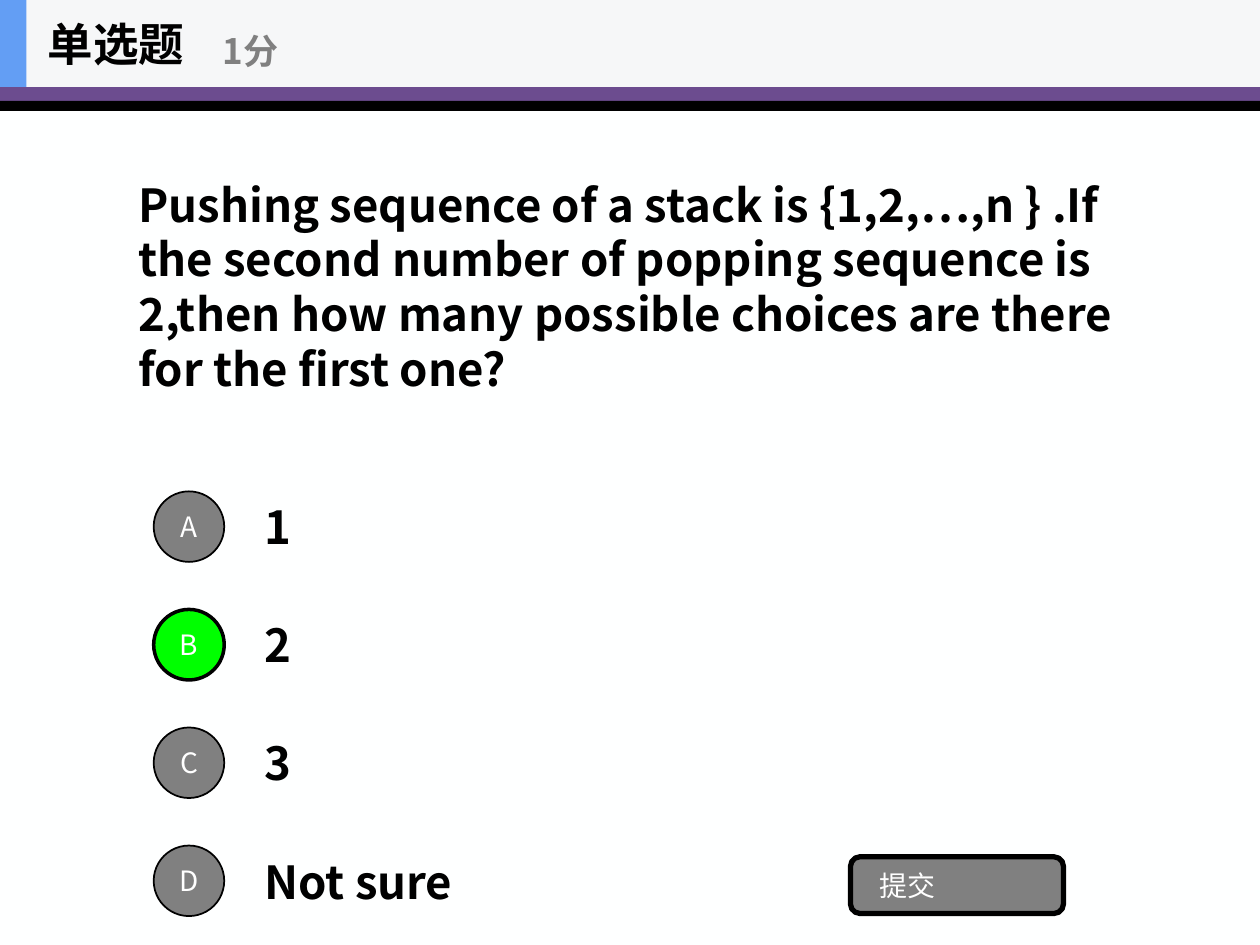
from dataclasses import dataclass

from lxml import etree
from pptx import Presentation
from pptx.dml.color import RGBColor
from pptx.enum.shapes import MSO_SHAPE
from pptx.enum.text import MSO_ANCHOR, PP_ALIGN
from pptx.oxml.ns import qn
from pptx.util import Inches, Pt

RECTANGLE = MSO_SHAPE.RECTANGLE
ROUNDED = MSO_SHAPE.ROUNDED_RECTANGLE
OVAL = MSO_SHAPE.OVAL
MIDDLE = MSO_ANCHOR.MIDDLE
LEFT = PP_ALIGN.LEFT
CENTER = PP_ALIGN.CENTER

FONT = "Noto Sans CJK SC"
COLORS = {
    "page": "FEFFFF",
    "purple": "6C4C8F",
    "black": "000000",
    "white": "FFFFFF",
    "gray": "808080",
    "green": "00FF00",
    "header": "F6F7F8",
    "blue": "639EF4",
}
QUESTION = (
    "Pushing sequence of a stack is {1,2,⋯,n } .If the second number of popping "
    "sequence is 2,then how many possible choices are there for the first one?"
)
FIRST_OPTION_TOP = 3.83
OPTION_PITCH = 0.937
OPTION_HEIGHT = 0.7
CIRCLE_SIZE = 0.56


@dataclass(frozen=True)
class Area:
    """Position and size in inches."""

    left: float
    top: float
    width: float
    height: float

    def lengths(self) -> tuple:
        """Return the four values as lengths."""
        return tuple(Inches(v) for v in (self.left, self.top, self.width, self.height))


@dataclass(frozen=True)
class Option:
    """One answer of the question."""

    letter: str
    answer: str
    fill: str = "gray"
    line_width: float = 1


OPTIONS = [
    Option("A", "1"),
    Option("B", "2", "green", 2),
    Option("C", "3"),
    Option("D", "Not sure"),
]


def color(name: str) -> RGBColor:
    """Look up a named colour."""
    return RGBColor.from_string(COLORS[name])


def write(shape, text: str, size: float, ink: str, bold: bool = False,
          align=LEFT, inset: float = 0.1) -> None:
    """Put one formatted paragraph into a shape."""
    frame = shape.text_frame
    frame.text = text
    frame.word_wrap = True
    frame.vertical_anchor = MIDDLE
    frame.margin_left = Inches(inset)
    frame.margin_right = Inches(min(inset, 0.1))
    para = frame.paragraphs[0]
    para.alignment = align
    for span in para.runs:
        span.font.name = FONT
        span.font.size = Pt(size)
        span.font.bold = bold
        span.font.color.rgb = color(ink)
        east_asian = etree.Element(qn("a:ea"), typeface=FONT)
        span.font._element.find(qn("a:latin")).addnext(east_asian)


def add_label(page, area: Area, text: str, size: float = 26, ink: str = "black") -> None:
    """Add a bold text box."""
    write(page.shapes.add_textbox(*area.lengths()), text, size, ink, bold=True)


def add_panel(page, kind, area: Area, fill: str, line_width: float = 0):
    """Add a filled shape, with a black outline if a width is given."""
    shape = page.shapes.add_shape(kind, *area.lengths())
    shape.shadow.inherit = False
    shape.fill.solid()
    shape.fill.fore_color.rgb = color(fill)
    if line_width:
        shape.line.color.rgb = color("black")
        shape.line.width = Pt(line_width)
    else:
        shape.line.fill.background()
    return shape


def add_option(page, option: Option, top: float) -> None:
    """Add the lettered circle and the answer beside it."""
    add_label(page, Area(2, top, 7, OPTION_HEIGHT), option.answer)
    circle_top = top + (OPTION_HEIGHT - CIRCLE_SIZE) / 2
    area = Area(1.22, circle_top, CIRCLE_SIZE, CIRCLE_SIZE)
    circle = add_panel(page, OVAL, area, option.fill, option.line_width)
    write(circle, option.letter, 16, "white", align=CENTER, inset=0)


def main() -> None:
    """Build the single-choice question slide."""
    deck = Presentation()
    deck.slide_width, deck.slide_height = Inches(10), Inches(7.5)
    page = deck.slides.add_slide(deck.slide_layouts[6])
    page.background.fill.solid()
    page.background.fill.fore_color.rgb = color("page")

    add_panel(page, RECTANGLE, Area(0, 0.21, 10, 0.59), "purple")
    add_panel(page, RECTANGLE, Area(0, 0.8, 10, 0.08), "black")
    add_label(page, Area(1, 1.1, 8, 2.34), QUESTION)
    for index, option in enumerate(OPTIONS):
        add_option(page, option, FIRST_OPTION_TOP + index * OPTION_PITCH)
    button = add_panel(page, ROUNDED, Area(6.75, 6.8, 1.69, 0.45), "gray", 3)
    write(button, "提交", 16, "white", inset=0.21)

    add_panel(page, RECTANGLE, Area(0, 0, 10, 0.69), "header")
    add_panel(page, RECTANGLE, Area(0, 0, 0.21, 0.69), "blue")
    add_label(page, Area(0.28, 0, 2.08, 0.69), "单选题")
    add_label(page, Area(1.67, 0.12, 2.5, 0.56), "1分", 20, "gray")

    deck.save("out.pptx")


if __name__ == "__main__":
    main()
